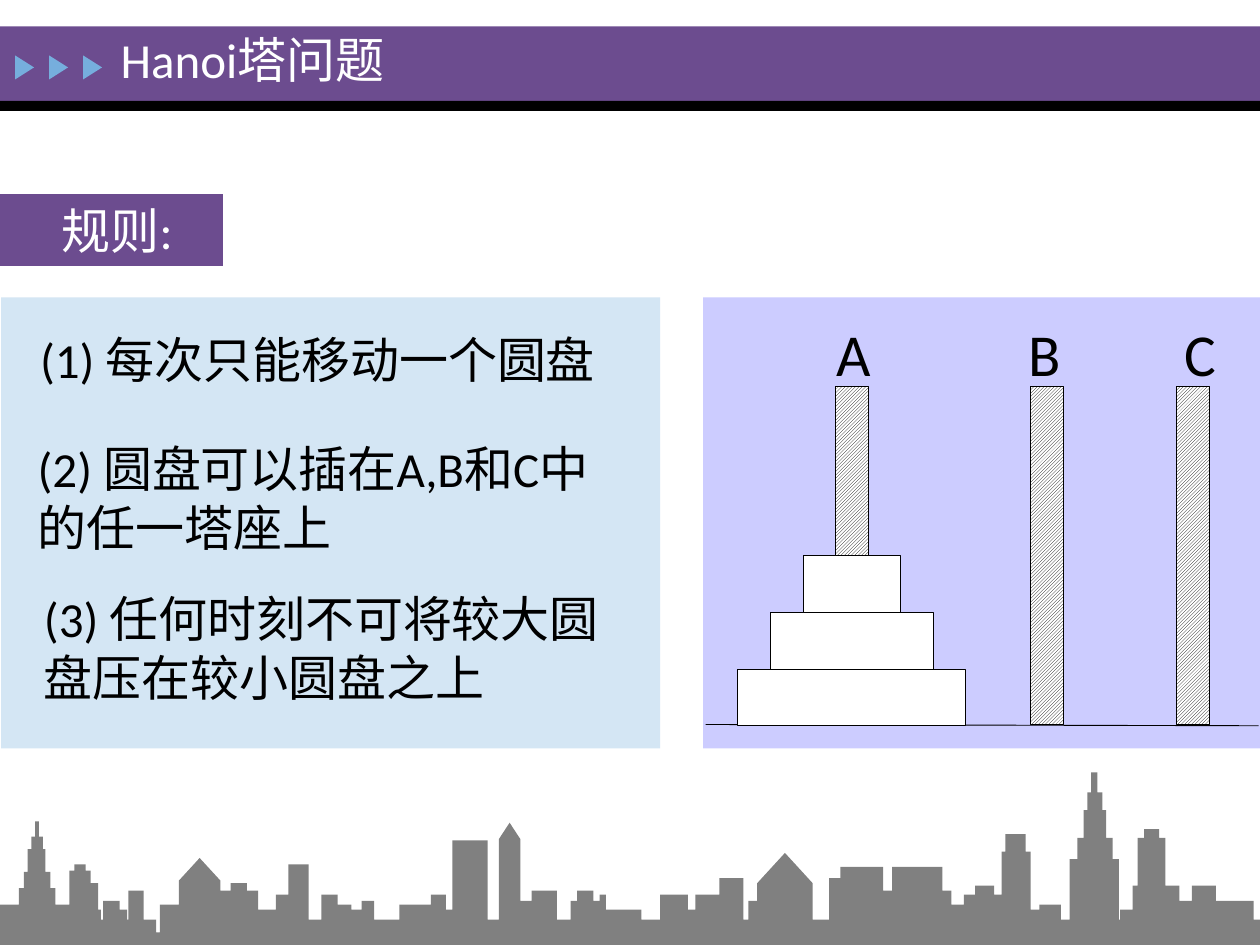
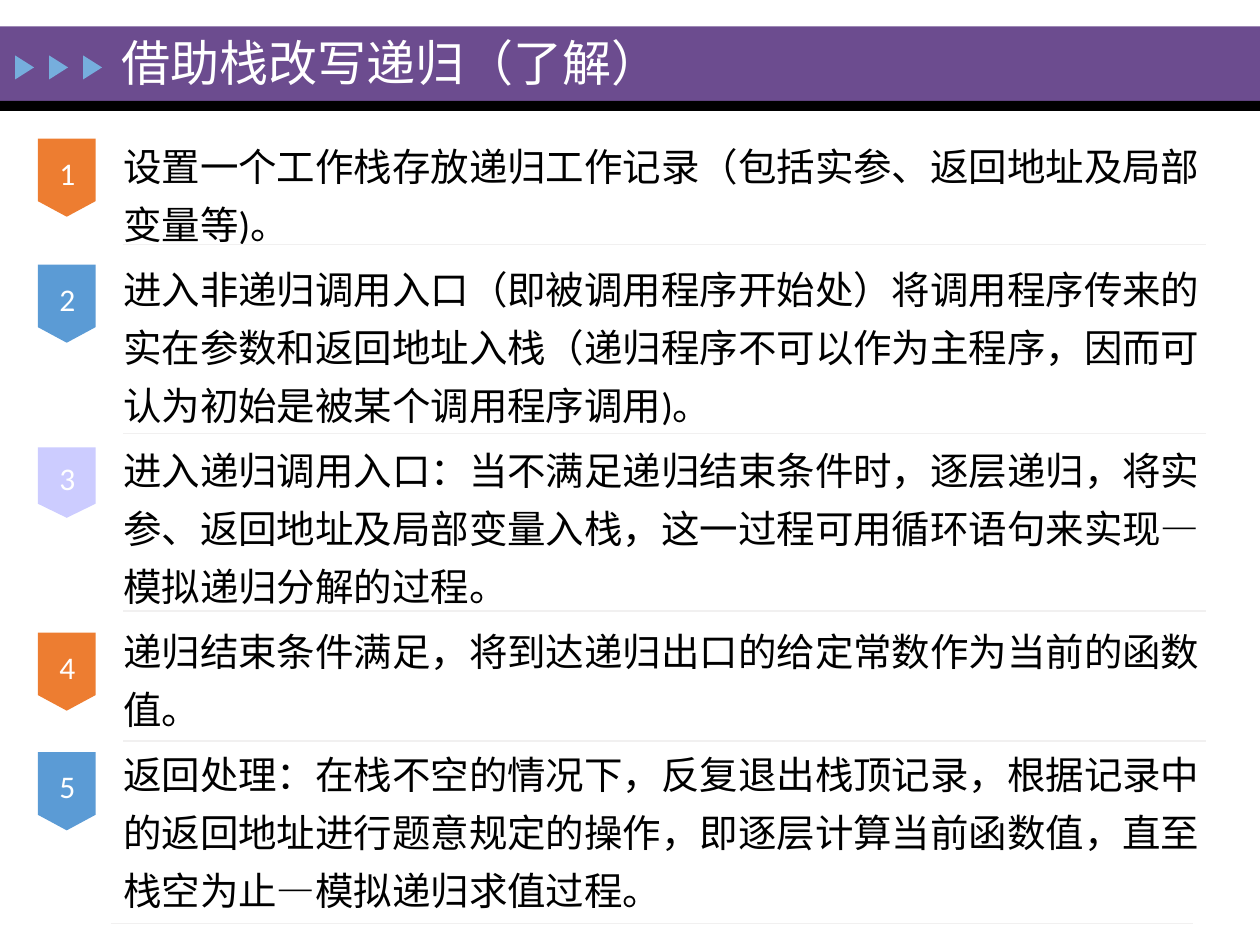
import itertools
from dataclasses import dataclass

import pptx
import pptx.dml.color
import pptx.enum.dml
import pptx.enum.shapes
import pptx.enum.text
import pptx.util
from lxml import etree
from pptx.oxml.ns import qn
from pptx.util import Inches, Pt

SHAPES = pptx.enum.shapes.MSO_SHAPE
ANCHOR = pptx.enum.text.MSO_ANCHOR
ALIGN = pptx.enum.text.PP_ALIGN

# Shared look
SLIDE_WIDTH, SLIDE_HEIGHT = 10, 7.5
FONT = "Calibri"
PURPLE, BLACK, WHITE = "6C4C8F", "000000", "FFFFFF"
ARROW_BLUE, PALE_BLUE, LAVENDER = "76AEDD", "D4E6F4", "CCCCFF"
ORANGE, BLUE = "ED7D31", "5B9BD5"
SEPARATOR_GREY, CITY_GREY = "F1F0F0", "808080"


@dataclass
class Box:
    left: float
    top: float
    width: float
    height: float

    def emu(self) -> tuple:
        return tuple(Inches(v) for v in (self.left, self.top, self.width, self.height))


@dataclass
class Rule:
    text: str
    box: Box


@dataclass
class Peg:
    name: str
    left: float
    height: float
    label_left: float


@dataclass
class Step:
    text: str
    badge_top: float
    line_y: float
    badge_height: float = 0.62
    line_left: float = 0.98


@dataclass
class Building:
    left: float
    right: float
    top: float
    ridge: float = 0  # height of the gable's tip, 0 for a flat roof


@dataclass
class Tower:
    """Tiers of (width, top) stacked around one centre line."""
    center: float
    tiers: list

    def buildings(self) -> list:
        return [Building(round(self.center - width / 2, 2),
                         round(self.center + width / 2, 2), top)
                for width, top in self.tiers]


RULES = [
    Rule("(1) 每次只能移动一个圆盘", Box(0.22, 2.57, 4.6, 1.04)),
    Rule("(2) 圆盘可以插在A,B和C中的任一塔座上", Box(0.2, 3.43, 4.75, 1.04)),
    Rule("(3) 任何时刻不可将较大圆盘压在较小圆盘之上", Box(0.25, 4.62, 4.91, 1.04)),
]

PEGS = [
    Peg("A", 6.63, 1.34, 6.64),
    Peg("B", 8.18, 2.68, 8.16),
    Peg("C", 9.34, 2.68, 9.4),
]

STEPS = [
    Step("设置一个工作栈存放递归工作记录（包括实参、返回地址及局部变量等)。", 1.1, 1.94),
    Step("进入非递归调用入口（即被调用程序开始处）将调用程序传来的实在参数和返回地址入栈"
         "（递归程序不可以作为主程序，因而可认为初始是被某个调用程序调用)。", 2.1, 3.44),
    Step("进入递归调用入口：当不满足递归结束条件时，逐层递归，将实参、返回地址及局部变量入栈，"
         "这一过程可用循环语句来实现—模拟递归分解的过程。", 3.55, 4.85, badge_height=0.56),
    Step("递归结束条件满足，将到达递归出口的给定常数作为当前的函数值。", 5.02, 5.88),
    Step("返回处理：在栈不空的情况下，反复退出栈顶记录，根据记录中的返回地址进行题意规定的操作，"
         "即逐层计算当前函数值，直至栈空为止—模拟递归求值过程。", 5.97, 7.33, line_left=0.88),
]
BADGE_COLORS = [ORANGE, BLUE, LAVENDER]

# The city: buildings may overlap, only the tallest at each place is seen
TOWERS = [
    Tower(0.295, [(0.03, 6.52), (0.09, 6.64), (0.14, 6.74), (0.21, 6.92), (0.29, 7.05)]),
    Tower(0.635, [(0.09, 6.86), (0.17, 6.91)]),
    Tower(8.06, [(0.16, 6.62), (0.23, 6.76)]),
    Tower(8.69, [(0.05, 6.13), (0.12, 6.29), (0.18, 6.43), (0.28, 6.65), (0.39, 6.82)]),
    Tower(9.14, [(0.12, 6.58), (0.22, 6.65)]),
]
HOUSES = [
    Building(1.42, 1.75, 6.99, ridge=6.81),
    Building(3.96, 4.13, 6.66, ridge=6.53),
    Building(6.01, 6.45, 7.01, ridge=6.77),
]
# Flat roofs: top -> (left, right) of each building that high
FLAT_ROOFS = {
    6.67: [(3.59, 3.87)],
    6.86: [(2.29, 2.45)],
    6.88: [(6.67, 7.01), (7.08, 7.48)],
    6.97: [(5.71, 5.9), (6.58, 6.67)],
    7.01: [(0.55, 0.78), (1.83, 1.96)],
    7.03: [(7.74, 7.89), (8.99, 9.36), (9.46, 9.65)],
    7.07: [(1.02, 1.14), (1.75, 2.05), (4.22, 4.42), (4.58, 4.71), (7.01, 7.55)],
    7.1: [(2.19, 2.29), (2.55, 2.68), (3.42, 3.54), (4.76, 4.81), (5.24, 5.46),
          (5.52, 5.71), (7.65, 7.95)],
    7.15: [(0.82, 0.95), (2.87, 2.97), (4.13, 4.22), (4.53, 4.81), (5.94, 6.01),
           (9.36, 9.95)],
    7.18: [(0, 0.55), (1.27, 1.42), (2.68, 2.79), (3.17, 3.42), (7.55, 7.65), (8.25, 8.42)],
    7.22: [(0.55, 0.8), (0.95, 1.01), (2.05, 2.19), (2.79, 2.87), (3.54, 3.59),
           (4.81, 5.09), (5.46, 5.52), (8.18, 8.25), (8.89, 8.99)],
    7.3: [(0, 1.24), (1.27, SLIDE_WIDTH)],  # street level
    7.4: [(0, SLIDE_WIDTH)],  # ground below the street
}


def rgb(color: str) -> pptx.dml.color.RGBColor:
    return pptx.dml.color.RGBColor.from_string(color)


def paint(shape, color: str, outlined: bool = False) -> None:
    shape.shadow.inherit = False
    shape.fill.solid()
    shape.fill.fore_color.rgb = rgb(color)
    if outlined:
        shape.line.color.rgb = rgb(BLACK)
        shape.line.width = Pt(0.5)
    else:
        shape.line.fill.background()


def add_block(slide, box: Box, color: str, kind=SHAPES.RECTANGLE, outlined: bool = False):
    block = slide.shapes.add_shape(kind, *box.emu())
    paint(block, color, outlined)
    return block


def add_line(slide, start: tuple, end: tuple, color: str, width: float) -> None:
    line = slide.shapes.add_connector(
        pptx.enum.shapes.MSO_CONNECTOR.STRAIGHT, *(Inches(v) for v in start + end))
    line.line.color.rgb = rgb(color)
    line.line.width = Pt(width)
    etree.SubElement(line._element.spPr, qn("a:effectLst"))


def write(shape, text: str, size: float, color: str, anchor=ANCHOR.TOP, align=ALIGN.LEFT):
    frame = shape.text_frame
    frame.text = text
    frame.word_wrap = True
    frame.vertical_anchor = anchor
    for paragraph in frame.paragraphs:
        paragraph.alignment = align
        for run in paragraph.runs:
            run.font.name = FONT
            run.font.size = Pt(size)
            run.font.color.rgb = rgb(color)
    return frame


def add_text(slide, box: Box, text: str, size: float, color: str,
             anchor=ANCHOR.TOP, align=ALIGN.LEFT, padded: bool = True):
    frame = write(slide.shapes.add_textbox(*box.emu()), text, size, color, anchor, align)
    if not padded:
        frame.margin_left = frame.margin_right = frame.margin_top = frame.margin_bottom = 0
    return frame


def add_titled_slide(deck, title: str, title_box: Box):
    slide = deck.slides.add_slide(deck.slide_layouts[6])
    # Title band with its underline and three arrows
    add_block(slide, Box(0, 0.21, SLIDE_WIDTH, 0.59), PURPLE)
    add_block(slide, Box(0, 0.8, SLIDE_WIDTH, 0.08), BLACK)
    for i in range(3):
        arrow = add_block(slide, Box(0.1 + 0.27 * i, 0.46, 0.19, 0.15),
                          ARROW_BLUE, SHAPES.ISOSCELES_TRIANGLE)
        arrow.rotation = 90
    add_text(slide, title_box, title, 28, WHITE, ANCHOR.MIDDLE)
    return slide


def city_outline() -> list:
    """Walk from wall to wall and follow the tallest building in between."""
    city = HOUSES + [Building(left, right, top)
                     for top, spans in FLAT_ROOFS.items() for left, right in spans]
    for tower in TOWERS:
        city += tower.buildings()
    walls = sorted({x for building in city for x in (building.left, building.right)})
    outline = [(0, SLIDE_HEIGHT)]
    for left, right in itertools.pairwise(walls):
        covering = [b for b in city if b.left <= left and b.right >= right]
        tallest = min(covering, key=lambda b: b.top)
        outline.append((left, tallest.top))
        if tallest.ridge:
            outline.append(((left + right) / 2, tallest.ridge))
        outline.append((right, tallest.top))
    return outline + [(SLIDE_WIDTH, SLIDE_HEIGHT)]


def add_skyline(slide) -> None:
    corners = [(Inches(x), Inches(y)) for x, y in city_outline()]
    builder = slide.shapes.build_freeform(*corners[0], scale=1.0)
    builder.add_line_segments(corners[1:], close=True)
    paint(builder.convert_to_shape(), CITY_GREY)


def add_hanoi_towers(slide) -> None:
    add_block(slide, Box(5.58, 2.36, 4.42, 3.58), LAVENDER)
    add_line(slide, (5.6, 5.75), (9.99, 5.76), BLACK, 0.5)
    # Discs, largest at the bottom
    disc_height, disc_center = 0.45, 6.76
    for level in range(3):
        width = 1.81 - 0.52 * level
        add_block(slide, Box(disc_center - width / 2, 5.31 - disc_height * level,
                             width, disc_height), WHITE, outlined=True)
    # Hatched pegs and their letters
    for peg in PEGS:
        pole = add_block(slide, Box(peg.left, 3.07, 0.26, peg.height), WHITE, outlined=True)
        pole.fill.patterned()
        pole.fill.pattern = pptx.enum.dml.MSO_PATTERN.LIGHT_UPWARD_DIAGONAL
        pole.fill.fore_color.rgb = rgb(BLACK)
        pole.fill.back_color.rgb = rgb(WHITE)
        add_text(slide, Box(peg.label_left, 2.52, 0.34, 0.57), peg.name, 34, BLACK,
                 padded=False)


def build_hanoi(deck) -> None:
    slide = add_titled_slide(deck, "Hanoi塔问题", Box(0.86, 0.18, 3.11, 0.57))
    # Rules panel
    add_block(slide, Box(0.01, 2.36, 5.23, 3.58), PALE_BLUE)
    heading = add_block(slide, Box(0, 1.54, 1.77, 0.57), PURPLE)
    write(heading, "规则:", 28, WHITE).margin_left = Inches(0.49)
    for rule in RULES:
        add_text(slide, rule.box, rule.text, 28, BLACK)
    add_hanoi_towers(slide)
    add_skyline(slide)


def build_stack_steps(deck) -> None:
    slide = add_titled_slide(deck, "借助栈改写递归（了解）", Box(0.87, 0.21, 6.53, 0.57))
    # Step texts, one paragraph each
    steps_frame = add_text(slide, Box(0.88, 0.96, 8.98, 6.37),
                           "\n".join(step.text for step in STEPS), 22, BLACK, ANCHOR.MIDDLE)
    for i, paragraph in enumerate(steps_frame.paragraphs):
        paragraph.line_spacing = 1.25
        if i:
            paragraph.space_before = Pt(4.5)
    # Numbered badges and separators
    number_height, number_lift = 0.61, 0.04
    for number, (step, color) in enumerate(zip(STEPS, itertools.cycle(BADGE_COLORS)), 1):
        add_block(slide, Box(0.3, step.badge_top, 0.46, step.badge_height), color,
                  SHAPES.FLOWCHART_OFFPAGE_CONNECTOR)
        number_top = step.badge_top + (step.badge_height - number_height) / 2 - number_lift
        add_text(slide, Box(0.27, number_top, 0.53, number_height), str(number), 18, WHITE,
                 ANCHOR.MIDDLE, ALIGN.CENTER, padded=False)
        add_line(slide, (step.line_left, step.line_y),
                 (step.line_left + 8.59, step.line_y), SEPARATOR_GREY, 0.75)


def main() -> None:
    deck = pptx.Presentation()
    deck.slide_width, deck.slide_height = Inches(SLIDE_WIDTH), Inches(SLIDE_HEIGHT)
    build_hanoi(deck)
    build_stack_steps(deck)
    deck.save("out.pptx")


if __name__ == "__main__":
    main()
